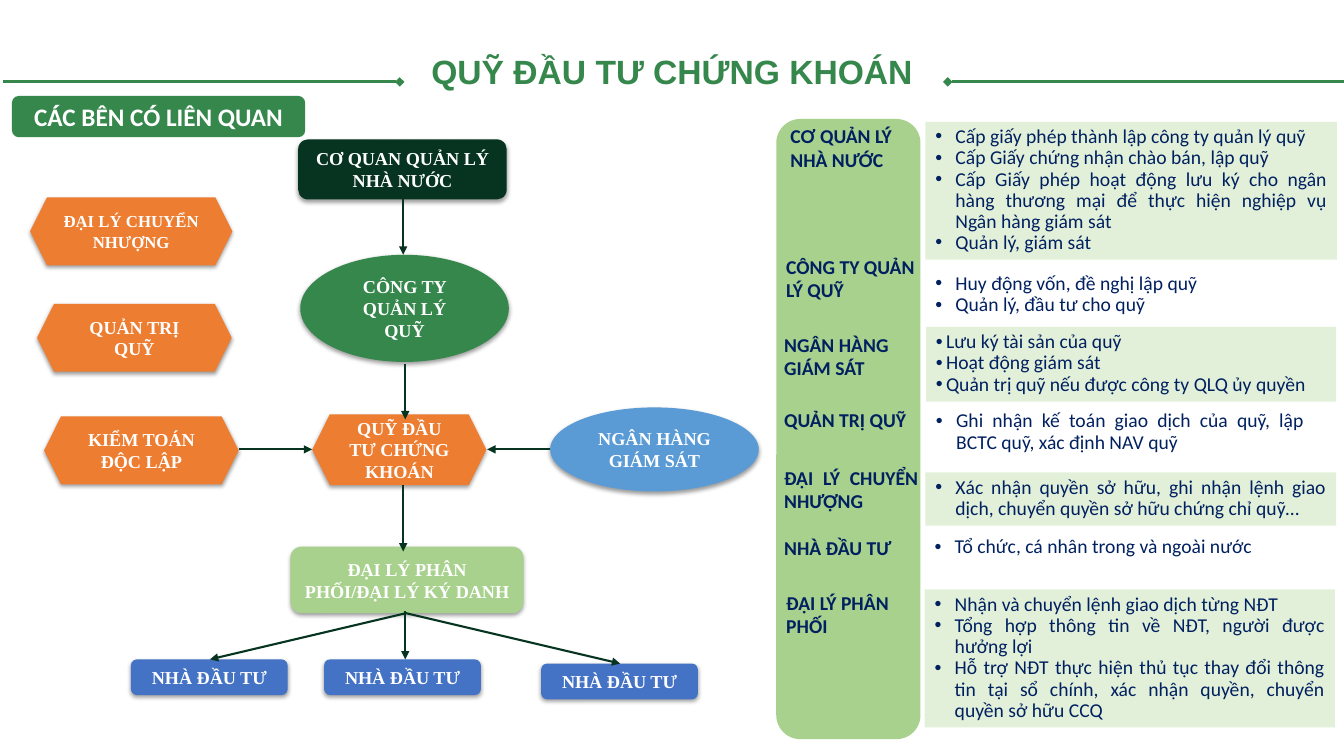
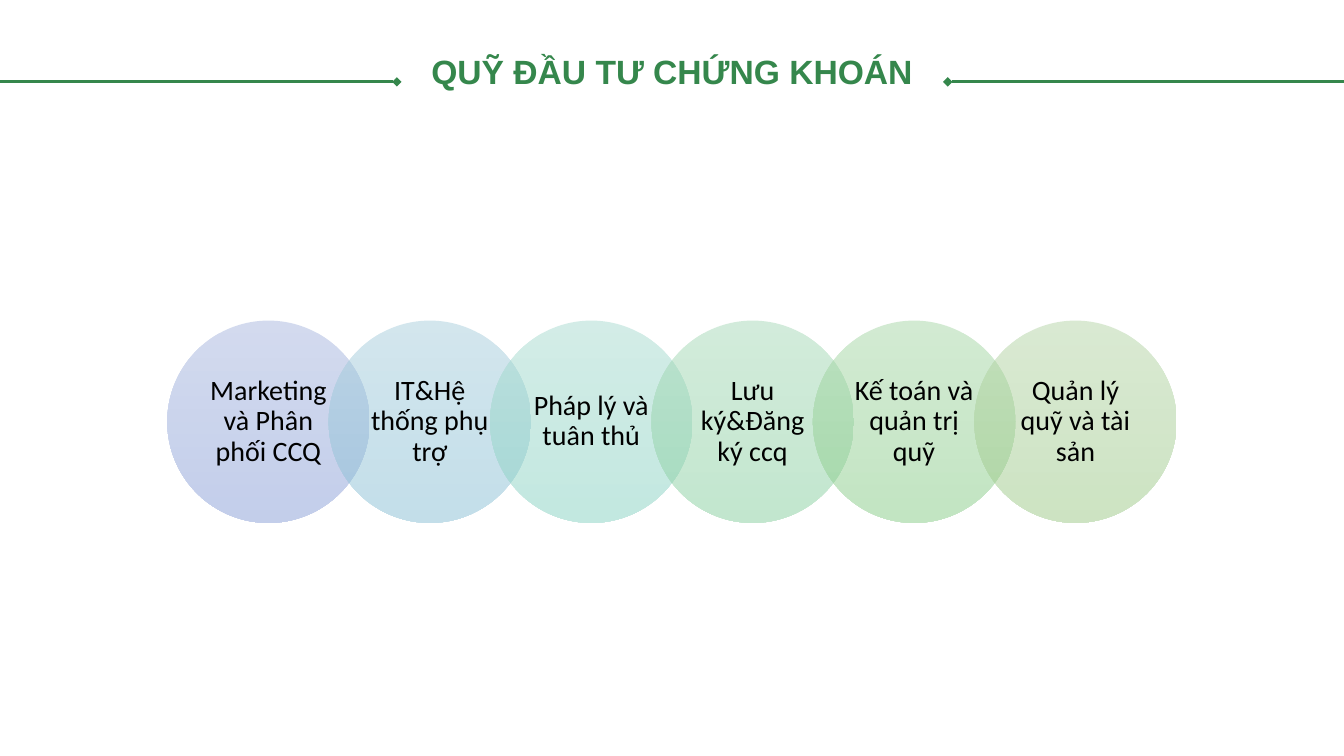
from lxml import etree
from pptx import Presentation
from pptx.dml.color import RGBColor
from pptx.enum import shapes, text
from pptx.oxml.ns import qn
from pptx.util import Pt

# Shared palette and text styles
GREEN, DARK_GREEN, LIGHT_GREEN, PALE_GREEN = "35874C", "063420", "A9D18E", "E2F0D9"
ORANGE, BLUE, SKY, NAVY, WHITE, BLACK = "ED7D31", "4472C4", "5B9BD5", "002060", "FFFFFF", "000000"

TITLE = "QUỸ ĐẦU TƯ CHỨNG KHOÁN"
TITLE_FONT = {"name": "Arial", "size": Pt(24), "bold": True, "color": GREEN}
NODE_FONT = {"name": "Times New Roman", "size": Pt(13), "bold": True, "color": WHITE}
LABEL_FONT = {"name": "Calibri", "size": Pt(14), "bold": True, "color": NAVY}
LIST_FONT = {**LABEL_FONT, "bold": False}
BADGE_FONT = {**LABEL_FONT, "size": Pt(18), "color": WHITE}
CIRCLE_FONT = {"name": "Calibri", "size": Pt(20), "bold": False, "color": BLACK}

ROUND = shapes.MSO_SHAPE.ROUNDED_RECTANGLE
RECTANGLE = shapes.MSO_SHAPE.RECTANGLE
OVAL = shapes.MSO_SHAPE.OVAL
HEXAGON = shapes.MSO_SHAPE.HEXAGON
LEFT, CENTER, JUSTIFY = text.PP_ALIGN.LEFT, text.PP_ALIGN.CENTER, text.PP_ALIGN.JUSTIFY
TOP, MIDDLE = text.MSO_ANCHOR.TOP, text.MSO_ANCHOR.MIDDLE

# Parties diagram: kind, text, (left, top, width, height), fill
NODES = [
    (ROUND, "CƠ QUAN QUẢN LÝ NHÀ NƯỚC", (213, 99.5, 149, 43), DARK_GREEN),
    (OVAL, "CÔNG TY QUẢN LÝ QUỸ", (214.5, 182, 149, 76.5), GREEN),
    (HEXAGON, "QUỸ ĐẦU TƯ CHỨNG KHOÁN", (223, 296, 124.5, 50.5), ORANGE),
    (OVAL, "NGÂN HÀNG\nGIÁM SÁT", (393, 291, 149, 60), SKY),
    (ROUND, "ĐẠI LÝ PHÂN PHỐI/ĐẠI LÝ KÝ DANH", (207.5, 390.5, 166.5, 47.5), LIGHT_GREEN),
    (HEXAGON, "QUẢN TRỊ QUỸ", (26.5, 217, 139, 48.5), ORANGE),
    (HEXAGON, "KIỂM TOÁN ĐỘC LẬP", (31.5, 297.5, 139, 48.5), ORANGE),
]
INVESTORS = [(93.5, 471), (231.5, 471), (386.5, 474)]
ARROWS = [
    ((288, 142.5), (288, 182)),
    ((289.5, 260), (289.5, 299.5)),
    ((288, 346.5), (288, 394)),
    ((170.5, 321), (223, 321)),
    ((393, 321), (348, 321)),
    ((289.5, 436.5), (289.5, 471)),
    ((290, 438), (150, 471)),
    ((290, 438), (443, 474)),
]

# Duties: label, (left, top), alignment, list box, list indent, fill, items
DUTIES = [
    ("CƠ QUẢN LÝ NHÀ NƯỚC", (557.5, 85), LEFT, (661, 87, 294, 98.5), 14.4, PALE_GREEN, [
        "Cấp giấy phép thành lập công ty quản lý quỹ",
        "Cấp Giấy chứng nhận chào bán, lập quỹ",
        "Cấp Giấy phép hoạt động lưu ký cho ngân hàng thương mại "
        "để thực hiện nghiệp vụ Ngân hàng giám sát",
        "Quản lý, giám sát"]),
    ("CÔNG TY QUẢN LÝ QUỸ", (554.5, 178.5), LEFT, (661, 192, 277, 38), 14.4, None, [
        "Huy động vốn, đề nghị lập quỹ",
        "Quản lý, đầu tư cho quỹ"]),
    ("NGÂN HÀNG GIÁM SÁT", (553, 234), LEFT, (661.5, 233.5, 293, 53.5), 7.2, PALE_GREEN, [
        "Lưu ký tài sản của quỹ",
        "Hoạt động giám sát",
        "Quản trị quỹ nếu được công ty QLQ ủy quyền"]),
    ("QUẢN TRỊ QUỸ", (553, 288), LEFT, (661.5, 290, 277, 38), 14.4, None, [
        "Ghi nhận kế toán giao dịch của quỹ, lập BCTC quỹ, xác định NAV quỹ"]),
    ("ĐẠI LÝ CHUYỂN NHƯỢNG", (553, 329), JUSTIFY, (661, 337.5, 293.5, 38), 14.4, PALE_GREEN, [
        "Xác nhận quyền sở hữu, ghi nhận lệnh giao dịch, "
        "chuyển quyền sở hữu chứng chỉ quỹ…"]),
    ("NHÀ ĐẦU TƯ", (553, 379.5), LEFT, (660.5, 380, 276.5, 22.5), 14.4, None, [
        "Tổ chức, cá nhân trong và ngoài nước"]),
    ("ĐẠI LÝ PHÂN PHỐI", (554.5, 418.5), LEFT, (660.5, 421, 293, 98.5), 14.4, PALE_GREEN, [
        "Nhận và chuyển lệnh giao dịch từng NĐT",
        "Tổng hợp thông tin về NĐT, người được hưởng lợi",
        "Hỗ trợ NĐT thực hiện thủ tục thay đổi thông tin tại sổ chính, "
        "xác nhận quyền, chuyển quyền sở hữu CCQ"]),
]

# Chain of functions: text, top colour, bottom colour
FUNCTIONS = [
    ("Marketing và Phân phối CCQ", "A8B7DF", "889ED7"),
    ("IT&Hệ thống phụ trợ", "A8CEDD", "88BFD5"),
    ("Pháp lý và tuân thủ", "A8DBD0", "87D2C2"),
    ("Lưu ký&Đăng ký ccq", "A7D9B8", "87CF9F"),
    ("Kế toán và quản trị quỹ", "A7D7A7", "87CC87"),
    ("Quản lý quỹ và tài sản", "B5D5A7", "9CC987"),
]


# Helpers
def colour(value):
    return RGBColor.from_string(value)


def add_xml(parent, tag, **attributes):
    values = {name: str(value) for name, value in attributes.items()}
    return etree.SubElement(parent, qn(tag), values)


def format_font(font, style):
    for name, value in style.items():
        if name == "color":
            font.color.rgb = colour(value)
        else:
            setattr(font, name, value)


def add_bullet(paragraph, indent):
    properties = paragraph._p.get_or_add_pPr()
    properties.set("marL", str(Pt(indent)))
    properties.set("indent", str(-Pt(indent)))
    add_xml(add_xml(properties, "a:buClr"), "a:srgbClr", val=NAVY)
    add_xml(properties, "a:buFont", typeface="Arial")
    add_xml(properties, "a:buChar", char="•")


def write(shape, lines, style, align=CENTER, anchor=MIDDLE, spacing=1.0,
          margins=(7.2, 3.6), indent=None):
    frame = shape.text_frame
    side, edge = (Pt(margin) for margin in margins)
    settings = {"word_wrap": True, "auto_size": text.MSO_AUTO_SIZE.NONE,
                "vertical_anchor": anchor, "margin_left": side,
                "margin_right": side, "margin_top": edge, "margin_bottom": edge}
    for name, value in settings.items():
        setattr(frame, name, value)
    for index, line in enumerate(lines):
        paragraph = frame.add_paragraph() if index else frame.paragraphs[0]
        if indent:
            add_bullet(paragraph, indent)
        paragraph.alignment = align
        paragraph.line_spacing = spacing
        run = paragraph.add_run()
        run.text = line
        format_font(run.font, style)


def add_block(slide, kind, box, fill=None):
    shape = slide.shapes.add_shape(kind, *map(Pt, box))
    if fill:
        shape.fill.solid()
        shape.fill.fore_color.rgb = colour(fill)
    else:
        shape.fill.background()
    shape.line.fill.background()
    shape.shadow.inherit = False
    return shape


def add_node(slide, kind, label, box, fill, size=13):
    shape = add_block(slide, kind, box, fill)
    effects = shape._element.spPr.find(qn("a:effectLst"))
    shadow = add_xml(effects, "a:outerShdw", blurRad=40000, dist=20000,
                     dir=5400000, rotWithShape=0)
    add_xml(add_xml(shadow, "a:srgbClr", val=BLACK), "a:alpha", val=38000)
    write(shape, label.split("\n"), {**NODE_FONT, "size": Pt(size)})


def add_line(slide, start, end, line_colour, width, tip):
    connector = slide.shapes.add_connector(
        shapes.MSO_CONNECTOR.STRAIGHT, *map(Pt, (*start, *end)))
    connector.line.color.rgb = colour(line_colour)
    connector.line.width = Pt(width)
    add_xml(connector.line._get_or_add_ln(), "a:tailEnd", type=tip)
    add_xml(connector._element.spPr, "a:effectLst")


def add_label(slide, label, position, align):
    box = slide.shapes.add_textbox(*map(Pt, (*position, 110, 41)))
    write(box, [label], LABEL_FONT, align, TOP)


def add_list(slide, items, box, indent, fill):
    shape = add_block(slide, RECTANGLE, box, fill)
    write(shape, items, LIST_FONT, JUSTIFY, TOP, 0.9, indent=indent)


def add_circle(slide, label, box, colours):
    shape = add_block(slide, OVAL, box)
    shape.fill.gradient()
    shape.fill.gradient_angle = 270
    for stop, value in zip(shape.fill.gradient_stops, colours):
        stop.color.rgb = colour(value)
    for element in shape._element.spPr.iter(qn("a:srgbClr")):
        add_xml(element, "a:alpha", val=50000)
    write(shape, [label], CIRCLE_FONT, spacing=0.9, margins=(8, 2))


def add_titled_slide(presentation, rule_start):
    slide = presentation.slides.add_slide(presentation.slide_layouts[5])
    title = slide.shapes.title
    for name, value in zip(("left", "top", "width", "height"), (0, 39.5, 960, 26)):
        setattr(title, name, Pt(value))
    write(title, [TITLE], TITLE_FONT, anchor=TOP, spacing=0.9, margins=(0, 0))
    add_line(slide, (rule_start, 58.5), (rule_start + 283.5, 58.5), GREEN, 2.25, "diamond")
    add_line(slide, (960, 58.5), (677, 58.5), GREEN, 2.25, "diamond")
    return slide


# Slides
def build_parties(presentation):
    slide = add_titled_slide(presentation, 2)
    add_block(slide, ROUND, (554.5, 85, 103, 443), LIGHT_GREEN)
    for label, position, align, box, indent, fill, items in DUTIES:
        add_label(slide, label, position, align)
        add_list(slide, items, box, indent, fill)
    for node in NODES:
        add_node(slide, *node)
    add_node(slide, HEXAGON, "ĐẠI LÝ CHUYỂN NHƯỢNG", (21.5, 141, 144.5, 48.5), ORANGE, 12)
    for position in INVESTORS:
        add_node(slide, ROUND, "NHÀ ĐẦU TƯ", (*position, 112, 25.5), BLUE)
    for start, end in ARROWS:
        add_line(slide, start, end, DARK_GREEN, 1.5, "triangle")
    badge = add_block(slide, ROUND, (8.5, 68.5, 209.5, 29.5), GREEN)
    write(badge, ["CÁC BÊN CÓ LIÊN QUAN"], BADGE_FONT)


def build_functions(presentation):
    slide = add_titled_slide(presentation, 0)
    diameter, step = 144.5, 115.3
    left = (960 - diameter - step * (len(FUNCTIONS) - 1)) / 2
    for index, (label, *colours) in enumerate(FUNCTIONS):
        box = (left + index * step, 229, diameter, diameter)
        add_circle(slide, label, box, colours)


def main():
    presentation = Presentation()
    presentation.slide_width, presentation.slide_height = Pt(960), Pt(540)
    build_parties(presentation)
    build_functions(presentation)
    presentation.save("out.pptx")


if __name__ == "__main__":
    main()
